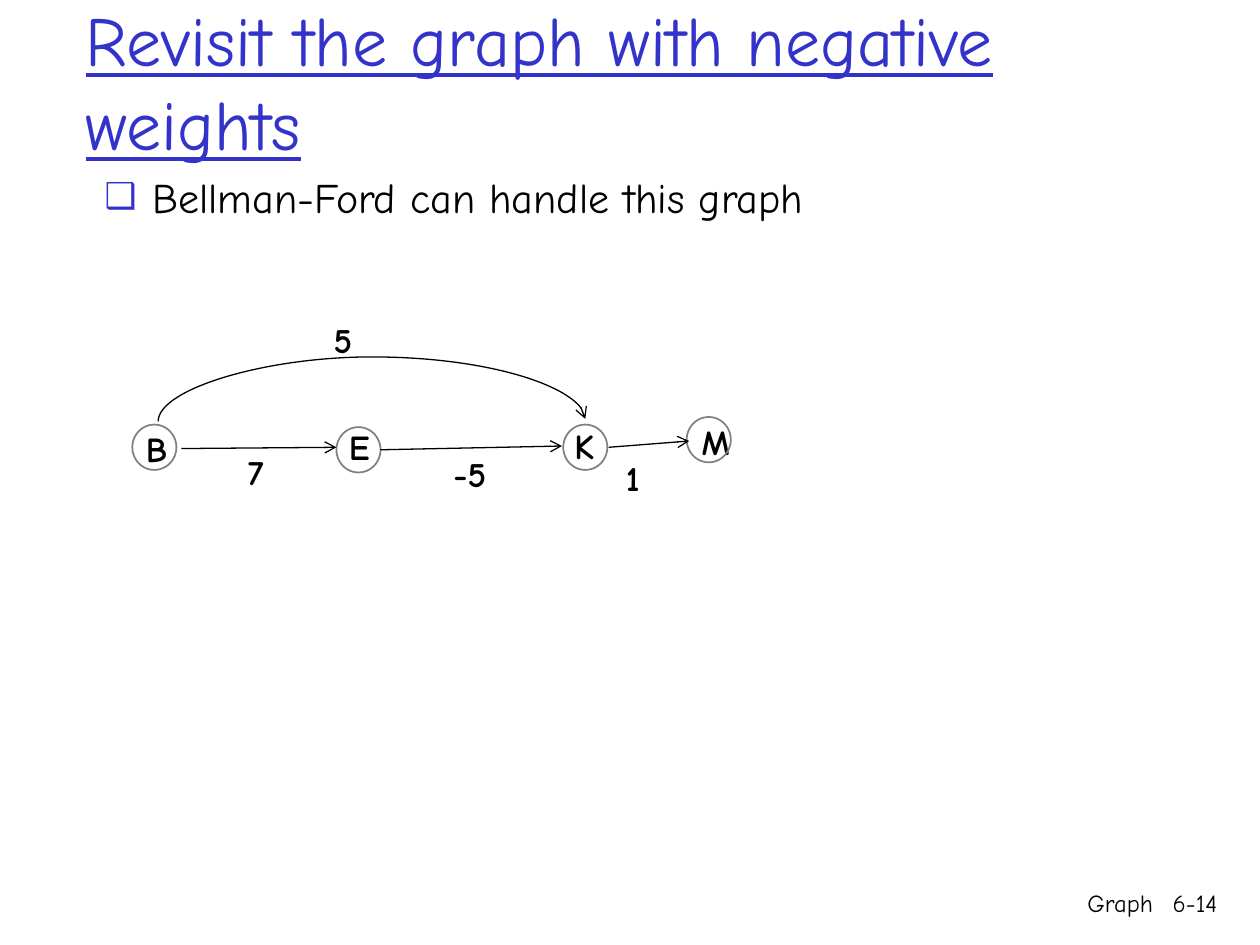
from dataclasses import dataclass

from lxml.etree import SubElement
from pptx import Presentation
from pptx.dml.color import RGBColor
from pptx.enum.shapes import MSO_CONNECTOR, MSO_SHAPE
from pptx.enum.text import MSO_ANCHOR, MSO_AUTO_SIZE, PP_ALIGN
from pptx.oxml.ns import qn
from pptx.util import Inches, Pt


@dataclass(frozen=True)
class Theme:
    """Font, colours and type sizes of the deck."""

    font: str = "Comic Neue"
    accent: str = "3333CC"
    ink: str = "000000"
    outline: str = "808080"
    title: int = 40
    body: int = 24
    label: int = 20
    footer: int = 14


THEME = Theme()
CIRCLE = (0.35, 0.36)
LABEL_HEIGHT = 0.44
NODES = {
    "B": ((0, 0.89), (0.01, 0.86, 0.38)),
    "E": ((1.62, 0.91), (1.62, 0.85, 0.39)),
    "K": ((3.42, 0.89), (3.41, 0.84, 0.37)),
    "M": ((4.4, 0.83), (4.42, 0.81, 0.45)),
}
WEIGHTS = {
    "5": (1.5, 0, 0.37),
    "7": (0.82, 1.05, 0.37),
    "-5": (2.45, 1.06, 0.55),
    "1": (3.82, 1.09, 0.37),
}
EDGES = [
    (0.39, 1.08, 1.62, 1.07),
    (1.97, 1.09, 3.41, 1.06),
    (3.78, 1.07, 4.42, 1.02),
]
ARC = (1.91, 2.55, 1.89, -0.84)


def place(shape, box):
    """Move and size a shape to a box in inches."""
    for name, value in zip(("left", "top", "width", "height"), box):
        setattr(shape, name, Inches(value))


def write(para, text, size, color=THEME.ink, **formats):
    """Write one formatted run into a paragraph."""
    span = para.add_run()
    span.text = text
    for name, value in {"name": THEME.font, "size": Pt(size), **formats}.items():
        setattr(span.font, name, value)
    span.font.color.rgb = RGBColor.from_string(color)


def add_title(page, box, text):
    """Fill the title placeholder."""
    title = page.shapes.title
    place(title, box)
    frame = title.text_frame
    frame.auto_size = MSO_AUTO_SIZE.NONE
    frame.vertical_anchor = MSO_ANCHOR.MIDDLE
    para = frame.paragraphs[0]
    para.alignment = PP_ALIGN.LEFT
    write(para, text, THEME.title, THEME.accent, underline=True)


def add_body(page, box, text):
    """Fill the body placeholder with one bulleted line."""
    body = page.placeholders[1]
    place(body, box)
    body.text_frame.auto_size = MSO_AUTO_SIZE.NONE
    para = body.text_frame.paragraphs[0]
    para.space_before = Pt(0)
    properties = para._p.get_or_add_pPr()
    properties.set("marL", str(Inches(0.38)))
    properties.set("indent", str(Inches(-0.38)))
    color = SubElement(properties, qn("a:buClr"))
    SubElement(color, qn("a:srgbClr"), val=THEME.accent)
    SubElement(properties, qn("a:buSzPct"), val="85000")
    SubElement(properties, qn("a:buChar"), char="❑")
    write(para, text, THEME.body)


def add_footer(page, box, text):
    """Add a right-aligned footer text."""
    frame = page.shapes.add_textbox(*map(Inches, box)).text_frame
    frame.word_wrap = True
    para = frame.paragraphs[0]
    para.alignment = PP_ALIGN.RIGHT
    write(para, text, THEME.footer)


def add_label(page, box, text):
    """Add a bold label that does not wrap."""
    frame = page.shapes.add_textbox(*map(Inches, box)).text_frame
    frame.word_wrap = False
    frame.auto_size = MSO_AUTO_SIZE.SHAPE_TO_FIT_TEXT
    write(frame.paragraphs[0], text, THEME.label, bold=True)


def add_circle(page, box):
    """Add an unfilled node circle."""
    circle = page.shapes.add_shape(MSO_SHAPE.OVAL, *map(Inches, box))
    circle.shadow.inherit = False
    circle.fill.background()
    circle.line.color.rgb = RGBColor.from_string(THEME.outline)
    circle.line.width = Pt(1)


def add_arrow(page, kind, ends):
    """Add a connector with an open arrowhead at its end."""
    arrow = page.shapes.add_connector(kind, *map(Inches, ends))
    arrow.line.color.rgb = RGBColor.from_string(THEME.ink)
    arrow.line.width = Pt(0.75)
    SubElement(arrow.line._get_or_add_ln(), qn("a:tailEnd"), type="arrow")
    SubElement(arrow._element.spPr, qn("a:effectLst"))
    return arrow


def add_graph(page, left, top):
    """Draw the weighted graph from its top left corner."""
    for name, ((circle_x, circle_y), (x, y, width)) in NODES.items():
        add_label(page, (left + x, top + y, width, LABEL_HEIGHT), name)
        add_circle(page, (left + circle_x, top + circle_y, *CIRCLE))
    for weight, (x, y, width) in WEIGHTS.items():
        add_label(page, (left + x, top + y, width, LABEL_HEIGHT), weight)
    offset = (left, top, left, top)
    for edge in EDGES:
        add_arrow(page, MSO_CONNECTOR.STRAIGHT, map(sum, zip(edge, offset)))
    arc = add_arrow(page, MSO_CONNECTOR.CURVE, map(sum, zip(ARC, offset)))
    properties = arc._element.spPr
    properties.find(qn("a:xfrm")).set("rot", str(90 * 60000))
    adjustments = properties.find(qn("a:prstGeom")).find(qn("a:avLst"))
    SubElement(adjustments, qn("a:gd"), name="adj1", fmla="val 2550000")


def main():
    """Build and save the deck."""
    deck = Presentation()
    deck.slide_width, deck.slide_height = Inches(10), Inches(7.5)
    page = deck.slides.add_slide(deck.slide_layouts[1])
    add_title(page, (0.58, 0.25, 8.5, 0.77), "Revisit the graph with negative weights")
    add_body(page, (0.73, 1.31, 8.5, 1.45), "Bellman-Ford can handle this graph")
    add_footer(page, (6.08, 7, 3.17, 0.5), "Graph")
    add_footer(page, (9.08, 7, 0.68, 0.5), "6-14")
    add_graph(page, 1.05, 2.48)
    deck.save("out.pptx")


if __name__ == "__main__":
    main()
